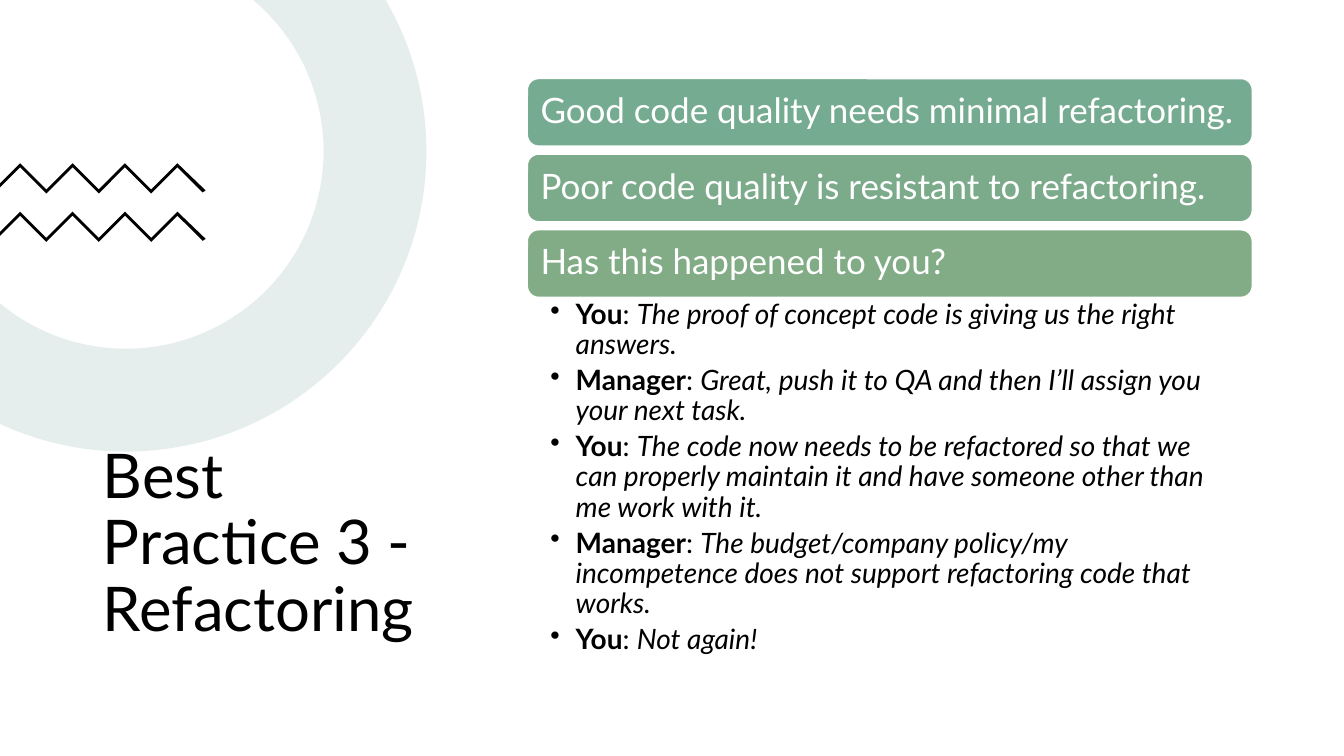
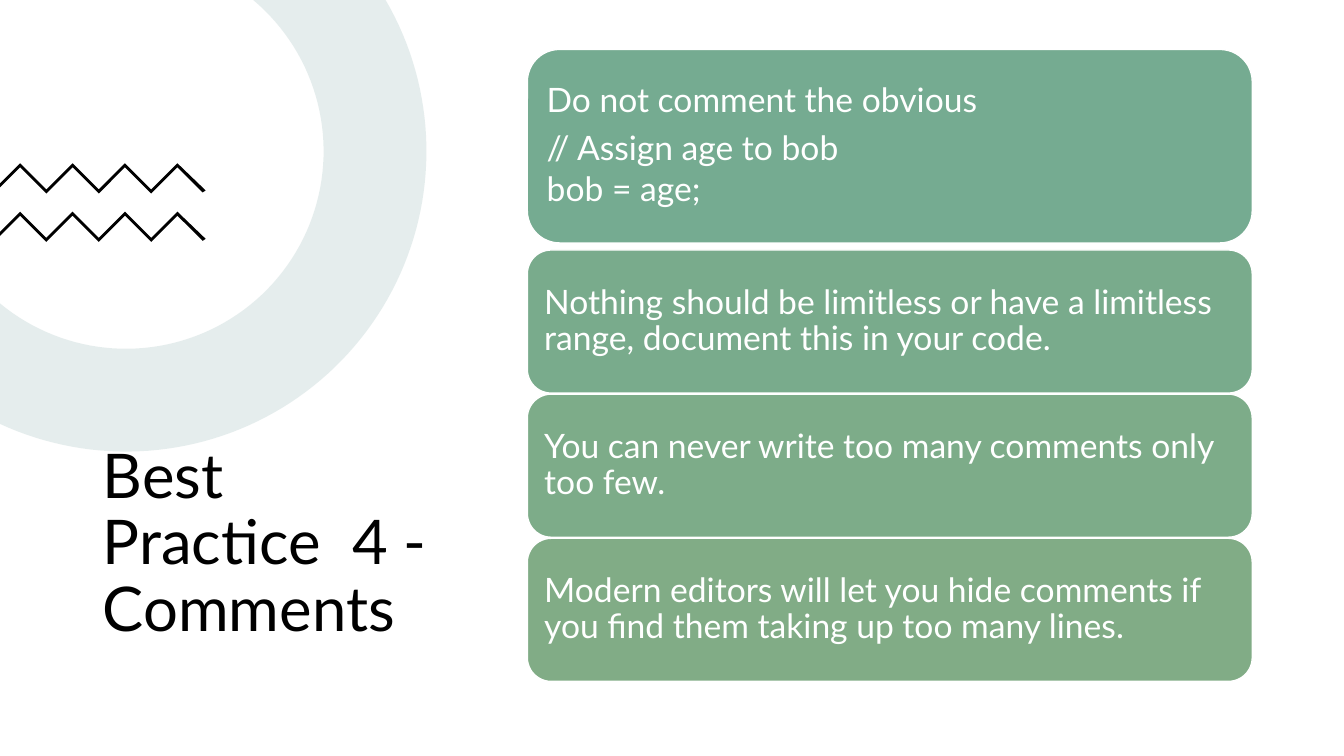
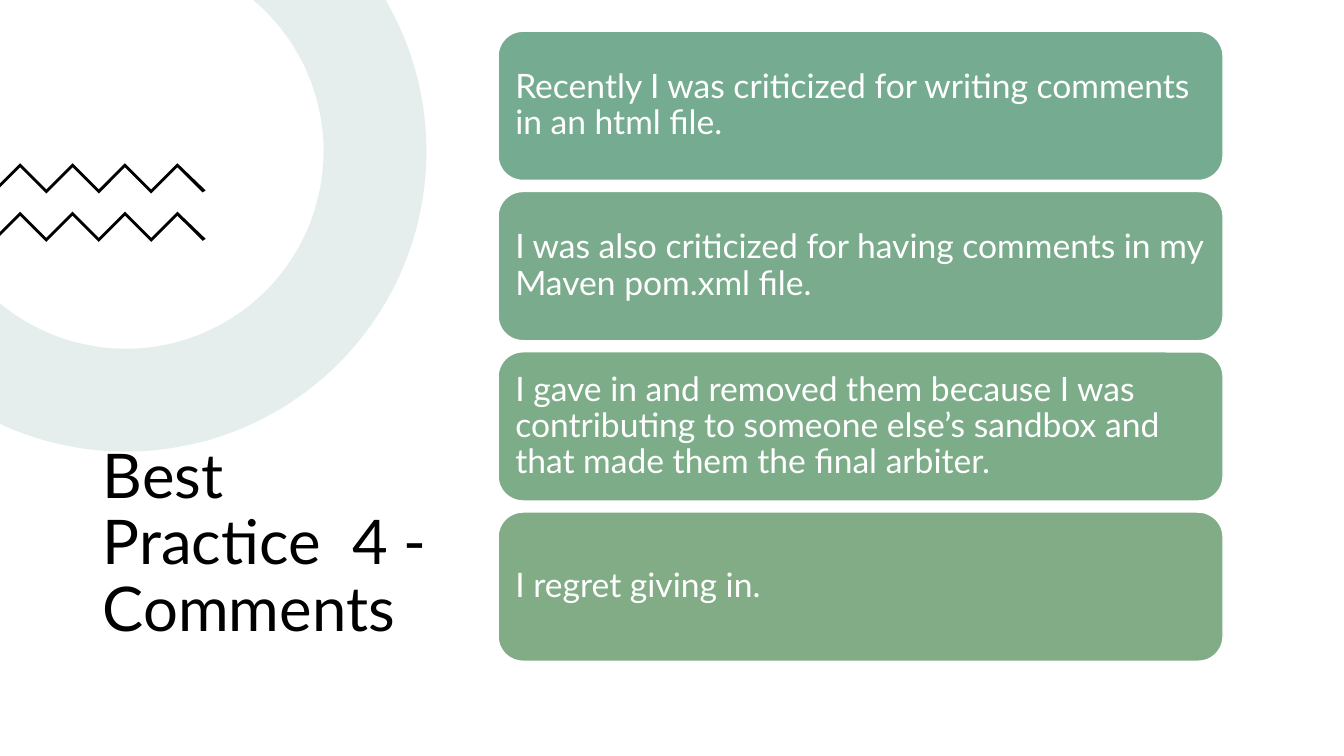
from math import acos, asin, cos, sin

from lxml.etree import SubElement
from pptx import Presentation
from pptx.dml.color import RGBColor
from pptx.enum.shapes import MSO_SHAPE
from pptx.enum.text import MSO_ANCHOR, MSO_AUTO_SIZE, PP_ALIGN
from pptx.oxml.ns import qn
from pptx.util import Inches, Pt

FONT = "Lato"
BLACK = RGBColor(0x00, 0x00, 0x00)
WHITE = RGBColor(0xFF, 0xFF, 0xFF)
RING_TEAL = RGBColor(0x80, 0xA9, 0xA7)
TEAL = RGBColor(0x75, 0xAB, 0x91)
TEAL_GREEN = RGBColor(0x79, 0xAB, 0x8C)
MID_GREEN = RGBColor(0x7B, 0xAB, 0x8A)
SOFT_GREEN = RGBColor(0x7D, 0xAC, 0x89)
GREEN = RGBColor(0x81, 0xAC, 0x86)

CARD_WIDTH = 7.19
LINE_SPACING = 0.9

DIALOGUE = [
    ("You", "The proof of concept code is giving us the right answers."),
    ("Manager", "Great, push it to QA and then I’ll assign you your next task."),
    ("You", "The code now needs to be refactored so that we can properly "
            "maintain it and have someone other than me work with it."),
    ("Manager", "The budget/company policy/my incompetence does not support "
                "refactoring code that works."),
    ("You", "Not again!"),
]


def style_span(span, size, color, bold=False, italic=False):
    span.font.name = FONT
    span.font.size = Pt(size)
    span.font.color.rgb = color
    span.font.bold = bold
    span.font.italic = italic


def set_insets(frame, left, top, right, bottom):
    frame.margin_left, frame.margin_top = Inches(left), Inches(top)
    frame.margin_right, frame.margin_bottom = Inches(right), Inches(bottom)


def add_outline(page, points, color):
    """Filled closed outline through points given in inches."""
    corners = [(Inches(x), Inches(y)) for x, y in points]
    builder = page.shapes.build_freeform(*corners[0])
    builder.add_line_segments(corners[1:], close=True)
    outline = builder.convert_to_shape()
    outline.shadow.inherit = False
    outline.fill.solid()
    outline.fill.fore_color.rgb = color
    outline.line.fill.background()
    return outline


def add_ring(page, center_x, center_y, outer, inner, steps=80):
    """Pale ring, cut off by the top and left edges of the slide."""
    def arc(radius):
        start, end = asin(-center_y / radius), acos(-center_x / radius)
        angles = [start + (end - start) * i / steps for i in range(steps + 1)]
        return [(center_x + radius * cos(a), center_y + radius * sin(a))
                for a in angles]

    ring = add_outline(page, arc(outer) + arc(inner)[::-1], RING_TEAL)
    color = ring._element.spPr.find(".//" + qn("a:srgbClr"))
    SubElement(color, qn("a:alpha"), val="20000")
    return ring


def add_zigzag(page, top, step=0.26, thickness=0.04):
    """Black zigzag entering from the left edge."""
    peaks = [(0.2 + step * i, top + step * (i % 2)) for i in range(7)]
    upper = [(0, top + 0.2)] + peaks + [(2.04, top + 0.27)]
    lower = [(0, top + 0.24)] + [(x, y + thickness) for x, y in peaks]
    lower.append((2.01, top + 0.29))
    add_outline(page, upper + lower[::-1], BLACK)


def add_page(deck, heading):
    """Slide with the shared title and decoration."""
    page = deck.slides.add_slide(deck.slide_layouts[5])
    title = page.shapes.title
    title.left, title.top = Inches(0.92), Inches(4.05)
    title.width, title.height = Inches(3.5), Inches(2.71)
    frame = title.text_frame
    frame.text = heading
    frame.word_wrap = True
    frame.auto_size = MSO_AUTO_SIZE.NONE
    frame.vertical_anchor = MSO_ANCHOR.MIDDLE
    para = frame.paragraphs[0]
    para.alignment = PP_ALIGN.LEFT
    para.line_spacing = LINE_SPACING
    style_span(para.runs[0], 44, BLACK)

    # The ring lies behind the title
    ring = add_ring(page, 1.25, 1.5, 2.98, 1.96)
    title._element.addprevious(ring._element)
    for top in (1.62, 2.1):
        add_zigzag(page, top)
    return page


def add_card(page, left, top, height, color, lines, size):
    card = page.shapes.add_shape(
        MSO_SHAPE.ROUNDED_RECTANGLE,
        Inches(left), Inches(top), Inches(CARD_WIDTH), Inches(height))
    card.shadow.inherit = False
    card.fill.solid()
    card.fill.fore_color.rgb = color
    card.line.color.rgb = WHITE
    card.line.width = Pt(1)
    frame = card.text_frame
    frame.text = "\n".join(lines)
    frame.word_wrap = True
    frame.vertical_anchor = MSO_ANCHOR.MIDDLE
    set_insets(frame, 0.1, 0.1, 0.1, 0.1)
    for index, para in enumerate(frame.paragraphs):
        para.alignment = PP_ALIGN.LEFT
        para.line_spacing = LINE_SPACING
        para.space_after = Pt(3 if index else 0.35 * size)
        style_span(para.runs[0], size, WHITE)


def add_card_stack(page, left, top, height, pitch, cards, size=24):
    """Equal one-paragraph cards, evenly spaced downwards."""
    for index, (color, text) in enumerate(cards):
        add_card(page, left, top + index * pitch, height, color, [text], size)


def add_dialogue(page, left, top, width, height, exchanges):
    """Bulleted conversation with bold speakers and italic speech."""
    box = page.shapes.add_textbox(
        Inches(left), Inches(top), Inches(width), Inches(height))
    frame = box.text_frame
    frame.word_wrap = True
    set_insets(frame, 0.23, 0.03, 0.19, 0.03)
    for index, (speaker, speech) in enumerate(exchanges):
        para = frame.add_paragraph() if index else frame.paragraphs[0]
        properties = para._p.get_or_add_pPr()
        properties.set("marL", str(Inches(0.25)))
        properties.set("indent", str(-Inches(0.25)))
        SubElement(properties, qn("a:buChar"), char="•")
        para.line_spacing = LINE_SPACING
        para.space_after = Pt(4)
        for text, bold, italic in ((speaker, True, False),
                                   (": ", False, False),
                                   (speech, False, True)):
            span = para.add_run()
            span.text = text
            style_span(span, 20, BLACK, bold, italic)


def build_refactoring(deck):
    page = add_page(deck, "Best Practice 3 - Refactoring")
    add_card_stack(page, 5.23, 0.78, 0.67, 0.75, [
        (TEAL, "Good code quality needs minimal refactoring."),
        (MID_GREEN, "Poor code quality is resistant to refactoring."),
        (GREEN, "Has this happened to you?"),
    ], size=25)
    add_dialogue(page, 5.23, 2.95, CARD_WIDTH, 3.51, DIALOGUE)


def build_comment_rules(deck):
    page = add_page(deck, "Best Practice  4 - Comments")
    add_card(page, 5.23, 0.49, 1.92, TEAL, [
        "Do not comment the obvious", "// Assign age to bob", "bob = age;",
    ], 24)
    add_card_stack(page, 5.23, 2.48, 1.42, 1.43, [
        (TEAL_GREEN, "Nothing should be limitless or have a limitless range, "
                     "document this in your code."),
        (SOFT_GREEN, "You can never write too many comments only too few."),
        (GREEN, "Modern editors will let you hide comments if you find them "
                "taking up too many lines."),
    ])


def build_comment_story(deck):
    page = add_page(deck, "Best Practice  4 - Comments")
    add_card_stack(page, 4.94, 0.31, 1.48, 1.59, [
        (TEAL, "Recently I was criticized for writing comments in an html file."),
        (TEAL_GREEN, "I was also criticized for having comments in my Maven "
                     "pom.xml file."),
        (SOFT_GREEN, "I gave in and removed them because I was contributing to "
                     "someone else’s sandbox and that made them the final "
                     "arbiter."),
        (GREEN, "I regret giving in."),
    ])


def main():
    deck = Presentation()
    deck.slide_width, deck.slide_height = Inches(13.33), Inches(7.5)
    build_refactoring(deck)
    build_comment_rules(deck)
    build_comment_story(deck)
    deck.save("out.pptx")


if __name__ == "__main__":
    main()
